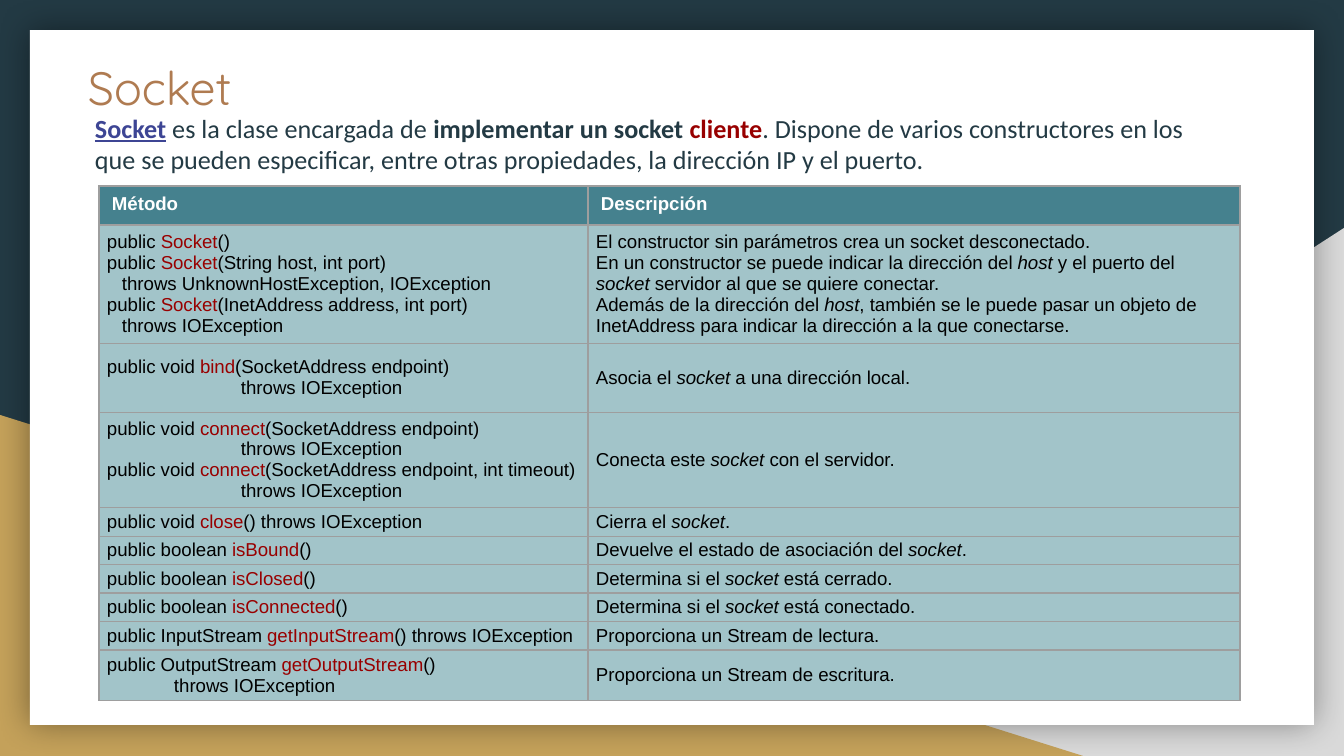
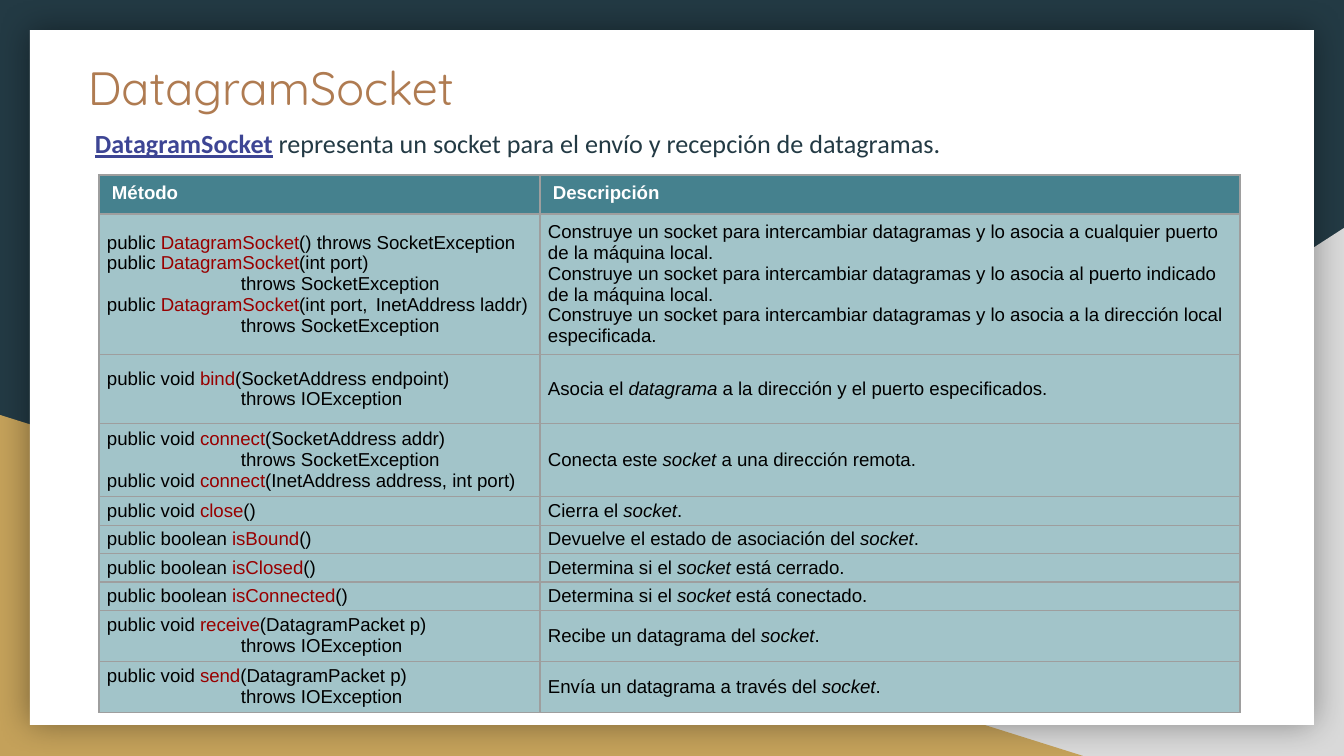
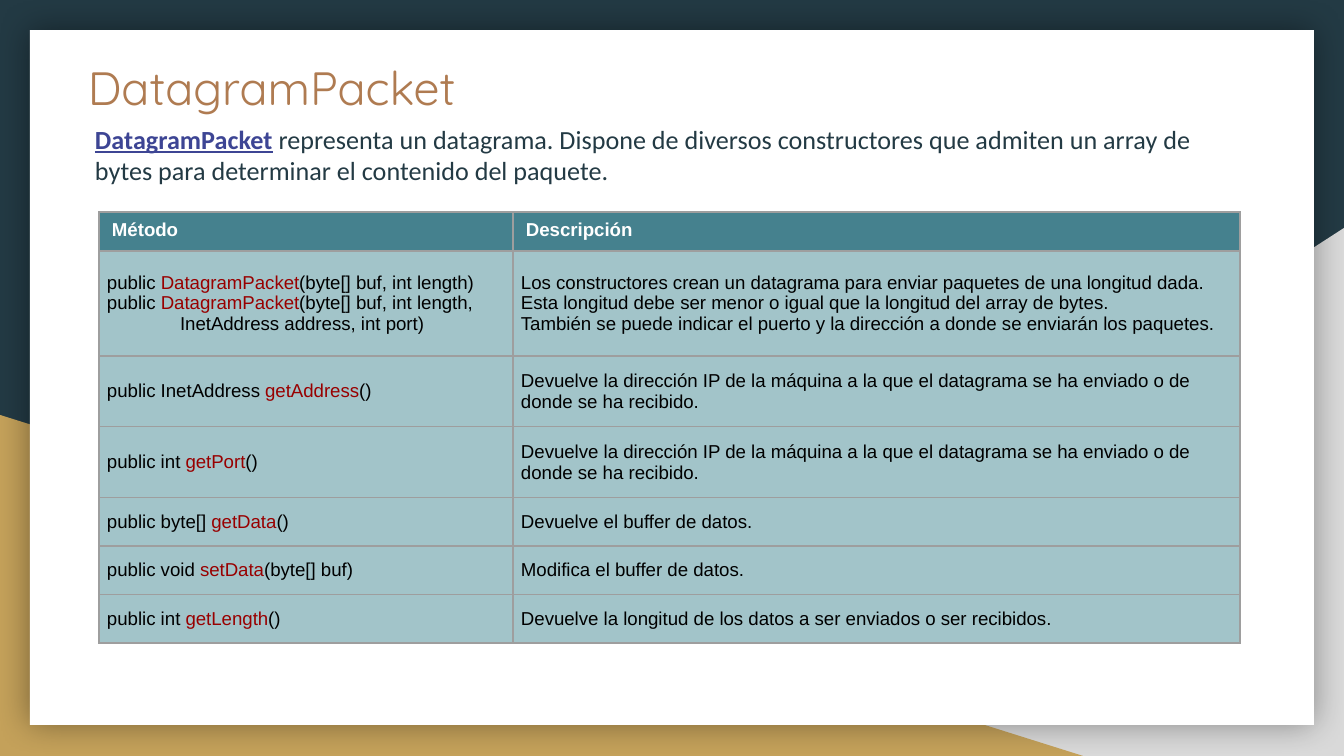
import pptx
import pptx.dml.color
import pptx.enum.shapes
import pptx.enum.text
import pptx.oxml
import pptx.oxml.ns
import pptx.util

RGBColor = pptx.dml.color.RGBColor
Shape = pptx.enum.shapes.MSO_SHAPE
Anchor = pptx.enum.text.MSO_ANCHOR

NAVY = RGBColor(0x23, 0x3A, 0x44)
GREY = RGBColor(0xD9, 0xD9, 0xD9)
GOLD = RGBColor(0xC4, 0xA1, 0x5A)
WHITE = RGBColor(0xFF, 0xFF, 0xFF)
BLACK = RGBColor(0x00, 0x00, 0x00)
COPPER = RGBColor(0xAF, 0x7B, 0x51)
INDIGO = RGBColor(0x3D, 0x45, 0x94)
RED = RGBColor(0x98, 0x00, 0x00)
TEAL = RGBColor(0x45, 0x81, 0x8E)
PALE_TEAL = RGBColor(0xA2, 0xC4, 0xC9)
BORDER = RGBColor(0x9E, 0x9E, 0x9E)

WIDTH, HEIGHT = 1344, 756
EMU_PER_PX = 914400 / 134.4

# A character on both sides of a phrase gives it one of these formats.
MARKS = {
    "*": {"color": RED},
    "_": {"italic": True},
    "#": {"bold": True},
    "!": {"bold": True, "color": RED},
    "@": {"bold": True, "underline": True, "color": INDIGO},
}


def px(length):
    return pptx.util.Emu(round(length * EMU_PER_PX))


def split_marks(text):
    """Yield each phrase of the text with the format its marks give it."""
    phrase, mark = "", None
    for letter in text:
        if letter == mark or (mark is None and letter in MARKS):
            if phrase:
                yield phrase, MARKS.get(mark, {})
            phrase, mark = "", None if mark else letter
        else:
            phrase += letter
    if phrase:
        yield phrase, MARKS.get(mark, {})


def write(frame, lines, *, font, size, color, bold=False, margins=(13, 13, 13, 13),
          anchor=Anchor.TOP, spacing=None, after=0):
    """Fill a text frame; a line is marked text or a pair of indent and marked text."""
    frame.word_wrap = True
    frame.vertical_anchor = anchor
    (frame.margin_left, frame.margin_top,
     frame.margin_right, frame.margin_bottom) = map(px, margins)
    for number, line in enumerate(lines):
        indent, text = line if isinstance(line, tuple) else (0, line)
        para = frame.add_paragraph() if number else frame.paragraphs[0]
        para.space_after = pptx.util.Pt(after)
        if spacing:
            para.line_spacing = spacing
        if indent:
            para._p.get_or_add_pPr().set("marL", str(px(indent)))
        for phrase, marked in split_marks(text):
            style = {"color": color, "bold": bold, **marked}
            span = para.add_run()
            span.text = phrase
            span.font.name = font
            span.font.size = pptx.util.Pt(size)
            span.font.color.rgb = style["color"]
            span.font.bold = style["bold"]
            span.font.italic = style.get("italic", False)
            span.font.underline = style.get("underline", False)


class SlideBuilder:
    """Holds the deck's style and the slide being built."""

    def __init__(self, deck):
        self.deck = deck
        self.slide = None

    def start_slide(self):
        self.slide = self.deck.slides.add_slide(self.deck.slide_layouts[6])
        fill = self.slide.background.fill
        fill.solid()
        fill.fore_color.rgb = NAVY
        grey_corner = self.shape(Shape.RIGHT_TRIANGLE, 527, 228, 817, 528, GREY)
        grey_corner._element.spPr.xfrm.set("flipH", "1")
        self.shape(Shape.RIGHT_TRIANGLE, 0, 415, 1083, 341, GOLD)
        self.add_glow(self.shape(Shape.RECTANGLE, 30, 30, 1284, 695, WHITE))

    def shape(self, kind, left, top, width, height, color):
        shape = self.slide.shapes.add_shape(kind, px(left), px(top), px(width), px(height))
        shape.shadow.inherit = False
        shape.fill.solid()
        shape.fill.fore_color.rgb = color
        shape.line.fill.background()
        return shape

    def add_glow(self, shape):
        """Give the shape a soft dark shadow on all sides."""
        effects = shape._element.spPr.find(pptx.oxml.ns.qn("a:effectLst"))
        effects.append(pptx.oxml.parse_xml(
            f'<a:outerShdw {pptx.oxml.ns.nsdecls("a")} blurRad="{pptx.util.Pt(18)}" '
            'algn="bl" rotWithShape="0"><a:srgbClr val="000000">'
            '<a:alpha val="40000"/></a:srgbClr></a:outerShdw>'))

    def text(self, left, top, width, height, lines, **style):
        box = self.slide.shapes.add_textbox(px(left), px(top), px(width), px(height))
        write(box.text_frame, lines, **style)

    def title(self, text):
        self.text(75, 46, 1191, 87, [text], font="Quicksand", size=25, color=COPPER)

    def intro(self, text, top, height, spacing=None):
        self.text(82, top, 1157, height, [text], font="Calibri", size=14,
                  color=NAVY, spacing=spacing, after=3)

    def cell(self, cell, lines, fill, **style):
        properties = cell._tc.get_or_add_tcPr()
        for side in "LRTB":
            properties.append(pptx.oxml.parse_xml(
                f'<a:ln{side} {pptx.oxml.ns.nsdecls("a")} w="{pptx.util.Pt(0.75)}">'
                f'<a:solidFill><a:srgbClr val="{BORDER}"/></a:solidFill></a:ln{side}>'))
        cell.fill.solid()
        cell.fill.fore_color.rgb = fill
        (cell.margin_left, cell.margin_top,
         cell.margin_right, cell.margin_bottom) = map(px, style["margins"])
        cell.vertical_anchor = style["anchor"]
        write(CellText(cell), lines, font="Arial", size=10, **style)

    def method_table(self, top, method_width, rows, padding=3):
        """Draw a table whose rows hold a height, signature lines and description lines."""
        header = (39, ["Método"], ["Descripción"])
        rows = [header, *rows]
        widths = (method_width, 1141 - method_width)
        height = sum(row[0] for row in rows)
        table = self.slide.shapes.add_table(
            len(rows), len(widths), px(99), px(top), px(sum(widths)), px(height)).table
        table.horz_banding = False
        for column, width in zip(table.columns, widths):
            column.width = px(width)
        header_style = dict(fill=TEAL, color=WHITE, bold=True,
                            margins=(13, 8, 0, 5), anchor=Anchor.TOP)
        body_style = dict(fill=PALE_TEAL, color=BLACK,
                          margins=(8, padding, 8, padding), anchor=Anchor.MIDDLE)
        for number, (row_height, *texts) in enumerate(rows):
            table.rows[number].height = px(row_height)
            style = body_style if number else header_style
            for column, lines in enumerate(texts):
                self.cell(table.cell(number, column), lines, **style)


class CellText:
    """Lets write() fill a cell, whose margins and anchor belong to the cell itself."""

    def __init__(self, cell):
        self.paragraphs = cell.text_frame.paragraphs
        self.add_paragraph = cell.text_frame.add_paragraph


THROWS_IO = (134, "throws IOException")
THROWS_SOCKET = (134, "throws SocketException")
BIND = ["public void *bind*(SocketAddress endpoint)", THROWS_IO]
CLOSES = ["Cierra el _socket_."]
STATE_ROWS = [
    (26, ["public boolean *isBound*()"], ["Devuelve el estado de asociación del _socket_."]),
    (26, ["public boolean *isClosed*()"], ["Determina si el _socket_ está cerrado."]),
    (26, ["public boolean *isConnected*()"], ["Determina si el _socket_ está conectado."]),
]
ADDRESS_TEXT = ["Devuelve la dirección IP de la máquina a la que el datagrama "
                "se ha enviado o de donde se ha recibido."]

SOCKET_ROWS = [
    (110,
     ["public *Socket*()",
      "public *Socket*(String host, int port)",
      (15, "throws UnknownHostException, IOException"),
      "public *Socket*(InetAddress address, int port)",
      (15, "throws IOException")],
     ["El constructor sin parámetros crea un socket desconectado.",
      "En un constructor se puede indicar la dirección del _host_ y el puerto del "
      "_socket_ servidor al que se quiere conectar.",
      "Además de la dirección del _host_, también se le puede pasar un objeto de "
      "InetAddress para indicar la dirección a la que conectarse."]),
    (69, BIND, ["Asocia el _socket_ a una dirección local."]),
    (88,
     ["public void *connect*(SocketAddress endpoint)", THROWS_IO,
      "public void *connect*(SocketAddress endpoint, int timeout)", THROWS_IO],
     ["Conecta este _socket_ con el servidor."]),
    (26, ["public void *close*() throws IOException"], CLOSES),
    *STATE_ROWS,
    (26, ["public InputStream *getInputStream*() throws IOException"],
     ["Proporciona un Stream de lectura."]),
    (47, ["public OutputStream *getOutputStream*()", (67, "throws IOException")],
     ["Proporciona un Stream de escritura."]),
]

DATAGRAM_SOCKET_ROWS = [
    (131,
     ["public *DatagramSocket*() throws SocketException",
      "public *DatagramSocket*(int port)", THROWS_SOCKET,
      "public *DatagramSocket*(int port,\tInetAddress laddr)", THROWS_SOCKET],
     ["Construye un socket para intercambiar datagramas y lo asocia a cualquier "
      "puerto de la máquina local.",
      "Construye un socket para intercambiar datagramas y lo asocia al puerto "
      "indicado de la máquina local.",
      "Construye un socket para intercambiar datagramas y lo asocia a la dirección "
      "local especificada."]),
    (69, BIND, ["Asocia el _datagrama_ a la dirección y el puerto especificados."]),
    (69,
     ["public void *connect*(SocketAddress addr)", THROWS_SOCKET,
      "public void *connect*(InetAddress address, int port)"],
     ["Conecta este _socket_ a una dirección remota."]),
    (26, ["public void *close*()"], CLOSES),
    *STATE_ROWS,
    (47, ["public void *receive*(DatagramPacket p)", THROWS_IO],
     ["Recibe un datagrama del _socket_."]),
    (47, ["public void *send*(DatagramPacket p)", THROWS_IO],
     ["Envía un datagrama a través del _socket_."]),
]

DATAGRAM_PACKET_ROWS = [
    (105,
     ["public *DatagramPacket*(byte[] buf, int length)",
      "public *DatagramPacket*(byte[] buf, int length,",
      (73, "InetAddress address, int port)")],
     ["Los constructores crean un datagrama para enviar paquetes de una longitud dada. "
      "Esta longitud debe ser menor o igual que la longitud del array de bytes.",
      "También se puede indicar el puerto y la dirección a donde se enviarán los paquetes."]),
    (68, ["public InetAddress *getAddress*()"], ADDRESS_TEXT),
    (68, ["public int *getPort*()"], ADDRESS_TEXT),
    (47, ["public byte[] *getData*()"], ["Devuelve el buffer de datos."]),
    (47, ["public void *setData*(byte[] buf)"], ["Modifica el buffer de datos."]),
    (47, ["public int *getLength*()"],
     ["Devuelve la longitud de los datos a ser enviados o ser recibidos."]),
]


def main():
    deck = pptx.Presentation()
    deck.slide_width, deck.slide_height = px(WIDTH), px(HEIGHT)
    builder = SlideBuilder(deck)

    builder.start_slide()
    builder.title("Socket")
    builder.intro("@Socket@ es la clase encargada de #implementar un socket #!cliente!. "
                  "Dispone de varios constructores en los que se pueden especificar, "
                  "entre otras propiedades, la dirección IP y el puerto.", 99, 81)
    builder.method_table(186, 489, SOCKET_ROWS)

    builder.start_slide()
    builder.title("DatagramSocket")
    builder.intro("@DatagramSocket@ representa un socket para el envío y recepción "
                  "de datagramas.", 110, 52, spacing=1.15)
    builder.method_table(175, 441, DATAGRAM_SOCKET_ROWS)

    builder.start_slide()
    builder.title("DatagramPacket")
    builder.intro("@DatagramPacket@ representa un datagrama. Dispone de diversos "
                  "constructores que admiten un array de bytes para determinar el "
                  "contenido del paquete.", 110, 81)
    builder.method_table(212, 414, DATAGRAM_PACKET_ROWS, padding=13)

    deck.save("out.pptx")


if __name__ == "__main__":
    main()
